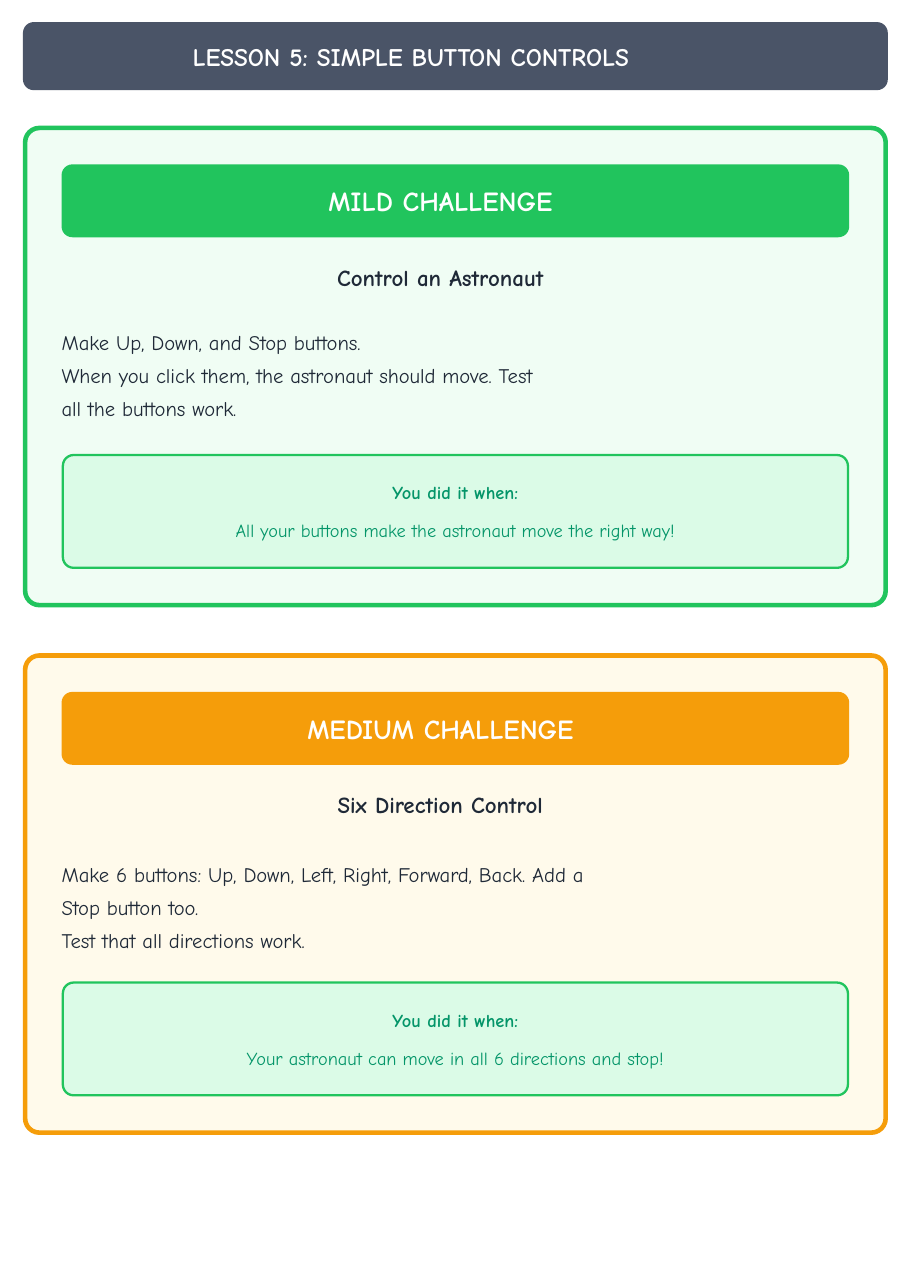
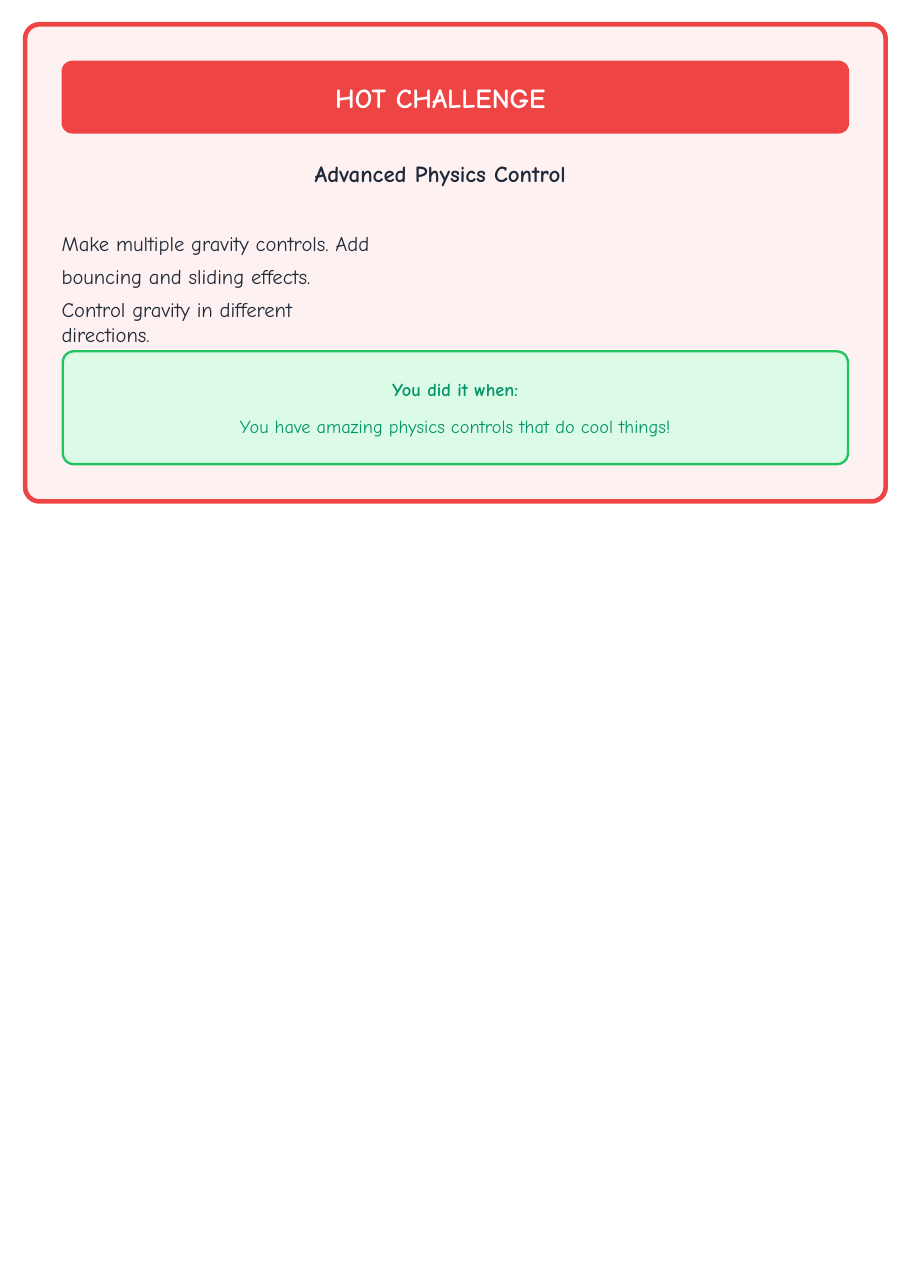
from pptx import Presentation
from pptx.dml.color import RGBColor
from pptx.enum.shapes import MSO_SHAPE
from pptx.enum.text import MSO_ANCHOR, PP_ALIGN
from pptx.util import Cm, Pt

ROUNDED = MSO_SHAPE.ROUNDED_RECTANGLE
LEFT, CENTER = PP_ALIGN.LEFT, PP_ALIGN.CENTER
TOP, MIDDLE = MSO_ANCHOR.TOP, MSO_ANCHOR.MIDDLE

PAGE_WIDTH, PAGE_HEIGHT = 20.98, 29.69
CARD_LEFT, CARD_WIDTH, CARD_HEIGHT = 0.58, 19.84, 11.0
INNER_LEFT, INNER_WIDTH = 1.42, 18.16
HEADING_SHIFT = 0.69  # right inset that moves centred headings to the left
LINE_SPACING = 1.34

WHITE, INK, SLATE = "FFFFFF", "1F2937", "4A5467"
GREEN, ORANGE, RED = "21C45D", "F59D0A", "EF4444"
SUCCESS_FILL, SUCCESS_TEXT = "DBFBE7", "049569"


def color(value):
    return RGBColor.from_string(value)


class Worksheet:
    """Holds the style and the slide being filled."""

    font = "Comic Neue"

    def __init__(self):
        self.presentation = Presentation()
        self.presentation.slide_width = Cm(PAGE_WIDTH)
        self.presentation.slide_height = Cm(PAGE_HEIGHT)
        self.slide = None

    def add_slide(self):
        self.slide = self.presentation.slides.add_slide(self.presentation.slide_layouts[6])

    def panel(self, left, top, width, height, fill, line=None, line_width=1.5, radius=0.25):
        shape = self.slide.shapes.add_shape(ROUNDED, Cm(left), Cm(top), Cm(width), Cm(height))
        shape.adjustments[0] = radius / min(width, height)
        shape.shadow.inherit = False
        shape.fill.solid()
        shape.fill.fore_color.rgb = color(fill)
        if line:
            shape.line.color.rgb = color(line)
            shape.line.width = Pt(line_width)
        else:
            shape.line.fill.background()
        return shape

    def frame(self, shape, anchor=TOP, right_inset=0):
        """Prepare the text frame of a shape and return it."""
        frame = shape.text_frame
        frame.word_wrap = True
        frame.vertical_anchor = anchor
        frame.margin_left = frame.margin_top = frame.margin_bottom = 0
        frame.margin_right = Cm(right_inset)
        return frame

    def text_box(self, left, top, width, height):
        box = self.slide.shapes.add_textbox(Cm(left), Cm(top), Cm(width), Cm(height))
        return self.frame(box)

    def add_text(self, frame, text, size, ink, bold=False, align=CENTER, before=0, spacing=1.0):
        """Fill the empty first paragraph, or add one after the others."""
        paragraph = frame.paragraphs[0]
        if paragraph.runs:
            paragraph = frame.add_paragraph()
        paragraph.alignment = align
        paragraph.space_before = Pt(before)
        paragraph.line_spacing = spacing
        run = paragraph.add_run()
        run.text = text
        run.font.name = self.font
        run.font.size = Pt(size)
        run.font.bold = bold
        run.font.color.rgb = color(ink)

    def banner(self, text, left, top, width, height, fill, size, right_inset):
        shape = self.panel(left, top, width, height, fill)
        self.add_text(self.frame(shape, MIDDLE, right_inset), text, size, WHITE, bold=True)

    def title(self, text):
        self.banner(text, 0.53, 0.51, 19.94, 1.57, SLATE, 16.5, right_inset=2.06)

    def success(self, text, top):
        shape = self.panel(INNER_LEFT + 0.03, top, INNER_WIDTH - 0.06, 2.6, SUCCESS_FILL, GREEN)
        frame = self.frame(shape, MIDDLE)
        self.add_text(frame, "You did it when:", 12, SUCCESS_TEXT, bold=True)
        self.add_text(frame, text, 12, SUCCESS_TEXT, before=10.3)

    def challenge(self, top, level, accent, tint, heading, steps, goal,
                  steps_top=4.56, steps_width=12.1, last_spacing=1.0, last_before=5.5):
        self.panel(CARD_LEFT, top, CARD_WIDTH, CARD_HEIGHT, tint, accent, 3, radius=0.33)
        self.banner(f"{level} CHALLENGE", INNER_LEFT, top + 0.84, INNER_WIDTH, 1.68,
                    accent, 18, HEADING_SHIFT)
        frame = self.text_box(INNER_LEFT, top + 3.12, INNER_WIDTH - HEADING_SHIFT, 0.7)
        self.add_text(frame, heading, 15, INK, bold=True)

        frame = self.text_box(INNER_LEFT, top + steps_top, steps_width, 2.3)
        first, last = steps
        self.add_text(frame, first, 13.5, INK, align=LEFT, spacing=LINE_SPACING)
        self.add_text(frame, last, 13.5, INK, align=LEFT, before=last_before,
                      spacing=last_spacing)
        self.success(goal, top + 7.54)


def main():
    sheet = Worksheet()

    sheet.add_slide()
    sheet.title("LESSON 5: SIMPLE BUTTON CONTROLS")
    sheet.challenge(
        2.95, "MILD", GREEN, "F0FDF4", "Control an Astronaut",
        ("Make Up, Down, and Stop buttons.",
         "When you click them, the astronaut should move. Test all the buttons work."),
        "All your buttons make the astronaut move the right way!",
        steps_top=4.46, steps_width=11.2, last_spacing=LINE_SPACING, last_before=0)
    sheet.challenge(
        15.11, "MEDIUM", ORANGE, "FFFAEB", "Six Direction Control",
        ("Make 6 buttons: Up, Down, Left, Right, Forward, Back. Add a Stop button too.",
         "Test that all directions work."),
        "Your astronaut can move in all 6 directions and stop!",
        steps_width=12.5)

    sheet.add_slide()
    sheet.challenge(
        0.56, "HOT", RED, "FEF1F1", "Advanced Physics Control",
        ("Make multiple gravity controls. Add bouncing and sliding effects.",
         "Control gravity in different directions."),
        "You have amazing physics controls that do cool things!",
        steps_width=7.3)

    sheet.presentation.save("out.pptx")


if __name__ == "__main__":
    main()
